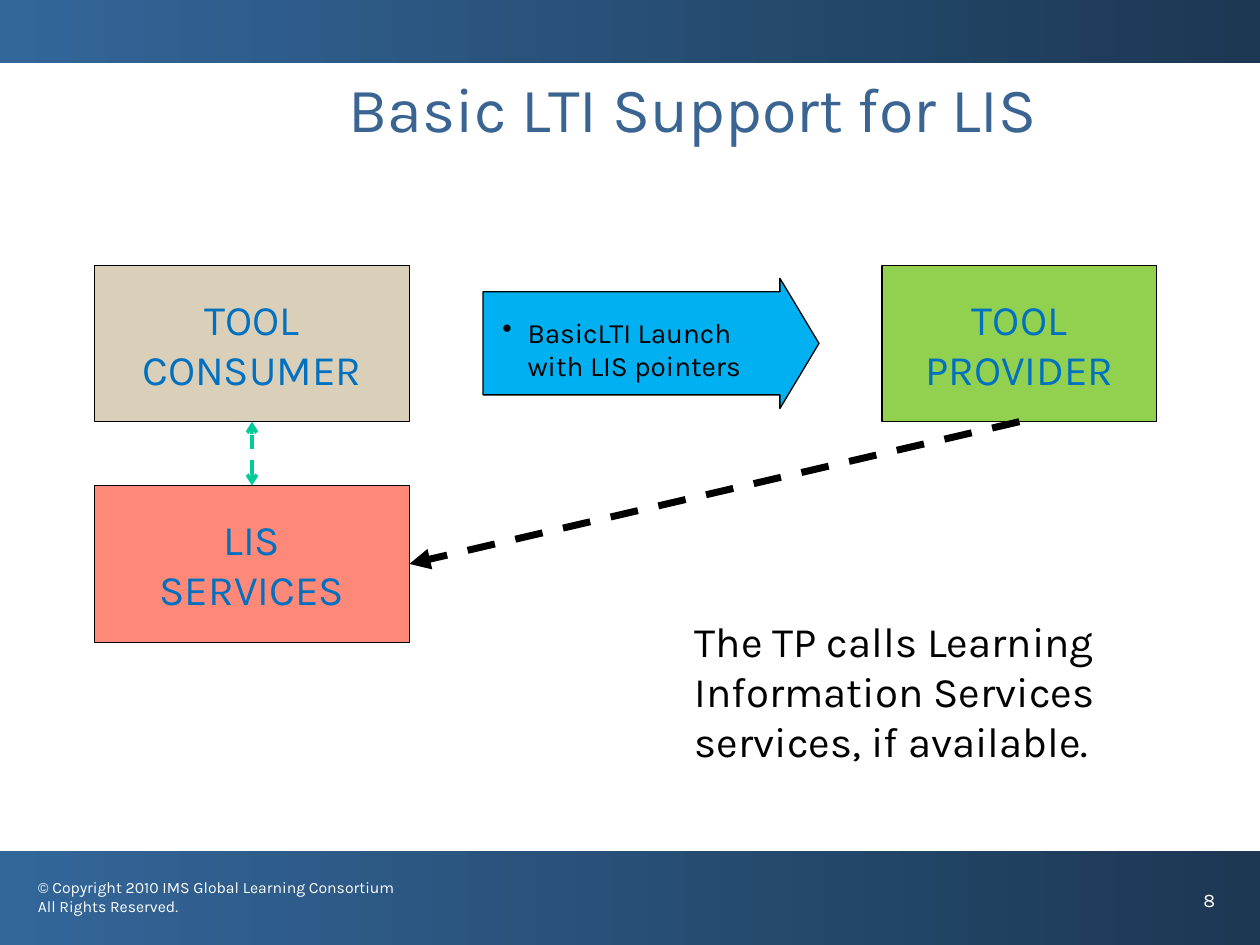
from lxml import etree
from pptx import Presentation
from pptx.dml.color import RGBColor
from pptx.enum.dml import MSO_LINE
from pptx.enum.shapes import MSO_CONNECTOR, MSO_SHAPE
from pptx.enum.text import MSO_ANCHOR, PP_ALIGN
from pptx.oxml.ns import qn
from pptx.util import Pt

RECT, ARROW = MSO_SHAPE.RECTANGLE, MSO_SHAPE.RIGHT_ARROW
STRAIGHT, DASH = MSO_CONNECTOR.STRAIGHT, MSO_LINE.DASH
LEFT, CENTER = PP_ALIGN.LEFT, PP_ALIGN.CENTER
TOP, MIDDLE = MSO_ANCHOR.TOP, MSO_ANCHOR.MIDDLE

THEME = {
    "font": "Karla",
    "band": ("1C3853", "336699"),
    "title": "3A6492", "label": "0070C0", "body": "000000", "footer": "FFFFFF",
    "outline": "000000", "launch": "00B0F0", "link": "00CC99",
    "title_size": 36, "body_size": 24, "launch_size": 16,
    "page_size": 11, "footer_size": 9,
}

# Boxes are (left, top, width, height) in points.
WIDTH, HEIGHT = 720, 540
BANDS = [(0, 486.5, WIDTH, 53.5), (0, 0, WIDTH, 36)]
COL, ROW, GAP = 54, 151.5, 36.5
BOX_W, BOX_H = 180, 89.5
SERVICES_TOP = ROW + BOX_H + GAP
PROVIDER_LEFT, PROVIDER_W = 504, 157
BLOCKS = [
    (["TOOL PROVIDER"], (PROVIDER_LEFT, ROW, PROVIDER_W, BOX_H), "92D050"),
    (["TOOL CONSUMER"], (COL, ROW, BOX_W, BOX_H), "DACFB9"),
    (["LIS", "SERVICES"], (COL, SERVICES_TOP, BOX_W, BOX_H), "FF8979"),
]
LAUNCH_ARROW = (276, 159, 192, 74.5)
LAUNCH_TEXT = ["BasicLTI Launch with LIS pointers"]
LAUNCH_BOX = (280, 176.5, 160, 65)
BULLET_INDENT = 14.4

# lines, box, colour, size, alignment, line spacing
TEXTS = [
    (["© Copyright 2010 IMS Global Learning Consortium", "All Rights Reserved."],
     (14.5, 498, 225.5, 36), "footer", "footer_size", LEFT, 1),
    (["8"], (680.5, 504, 39.5, 36), "footer", "page_size", LEFT, 1),
    (["Basic LTI Support for LIS"], (90, 39.5, 612, 90),
     "title", "title_size", CENTER, 0.95),
    (["The TP calls Learning Information Services", "services, if available."],
     (390, 348, 282, 94), "body", "body_size", LEFT, 1),
]

# start, end, colour, width, line ends
LINES = [
    ((PROVIDER_LEFT + PROVIDER_W / 2, ROW + BOX_H),
     (COL + BOX_W, SERVICES_TOP + BOX_H / 2),
     "outline", 4, {"tailEnd": "triangle"}),
    ((COL + BOX_W / 2, SERVICES_TOP), (COL + BOX_W / 2, ROW + BOX_H),
     "link", 2, {"headEnd": "arrow", "tailEnd": "arrow"}),
]


def color(value):
    return RGBColor.from_string(THEME.get(value, value))


def points(values):
    return [Pt(v) for v in values]


def write(shape, lines, ink, size, align=LEFT, spacing=1, anchor=TOP, bullet=False):
    tf = shape.text_frame
    for name, value in {"word_wrap": True, "vertical_anchor": anchor}.items():
        setattr(tf, name, value)
    for i, line in enumerate(lines):
        p = tf.paragraphs[0] if i == 0 else tf.add_paragraph()
        if bullet:
            add_bullet(p)
        p.alignment, p.line_spacing = align, spacing
        r = p.add_run()
        r.text = line
        for name, value in {"name": THEME["font"], "size": Pt(THEME[size])}.items():
            setattr(r.font, name, value)
        r.font.color.rgb = color(ink)


def add_bullet(p):
    pPr = p._p.get_or_add_pPr()
    pPr.set("marL", str(Pt(BULLET_INDENT)))
    pPr.set("indent", str(-Pt(BULLET_INDENT)))
    clr = etree.SubElement(pPr, qn("a:buClr"))
    etree.SubElement(clr, qn("a:srgbClr"), val=THEME["body"])
    etree.SubElement(pPr, qn("a:buChar"), char="•")


def add_band(s, box):
    sp = s.shapes.add_shape(RECT, *points(box))
    sp.shadow.inherit = False
    sp.line.fill.background()
    sp.fill.gradient()
    sp.fill.gradient_angle = 180
    for stop, position, value in zip(sp.fill.gradient_stops, (0, 1), THEME["band"]):
        stop.position, stop.color.rgb = position, color(value)


def add_outlined(s, kind, box, fill):
    sp = s.shapes.add_shape(kind, *points(box))
    sp.shadow.inherit = False
    sp.fill.solid()
    sp.fill.fore_color.rgb = color(fill)
    sp.line.color.rgb = color("outline")
    sp.line.width = Pt(0.75)
    return sp


def add_line(s, start, end, ink, width, ends):
    c = s.shapes.add_connector(STRAIGHT, *points(start + end))
    c.line.color.rgb = color(ink)
    c.line.width, c.line.dash_style = Pt(width), DASH
    for tag, kind in ends.items():
        etree.SubElement(c.line._get_or_add_ln(), qn("a:" + tag), type=kind)
    etree.SubElement(c._element.spPr, qn("a:effectLst"))


def main():
    prs = Presentation()
    prs.slide_width, prs.slide_height = points((WIDTH, HEIGHT))
    s = prs.slides.add_slide(prs.slide_layouts[6])
    for box in BANDS:
        add_band(s, box)
    for lines, box, fill in BLOCKS:
        write(add_outlined(s, RECT, box, fill), lines, "label", "body_size",
              CENTER, anchor=MIDDLE)
    arrow = add_outlined(s, ARROW, LAUNCH_ARROW, "launch")
    arrow.adjustments[0], arrow.adjustments[1] = 0.79, 0.3
    write(s.shapes.add_textbox(*points(LAUNCH_BOX)), LAUNCH_TEXT,
          "body", "launch_size", bullet=True)
    for line in LINES:
        add_line(s, *line)
    for lines, box, *style in TEXTS:
        write(s.shapes.add_textbox(*points(box)), lines, *style)
    prs.save("out.pptx")


if __name__ == "__main__":
    main()
